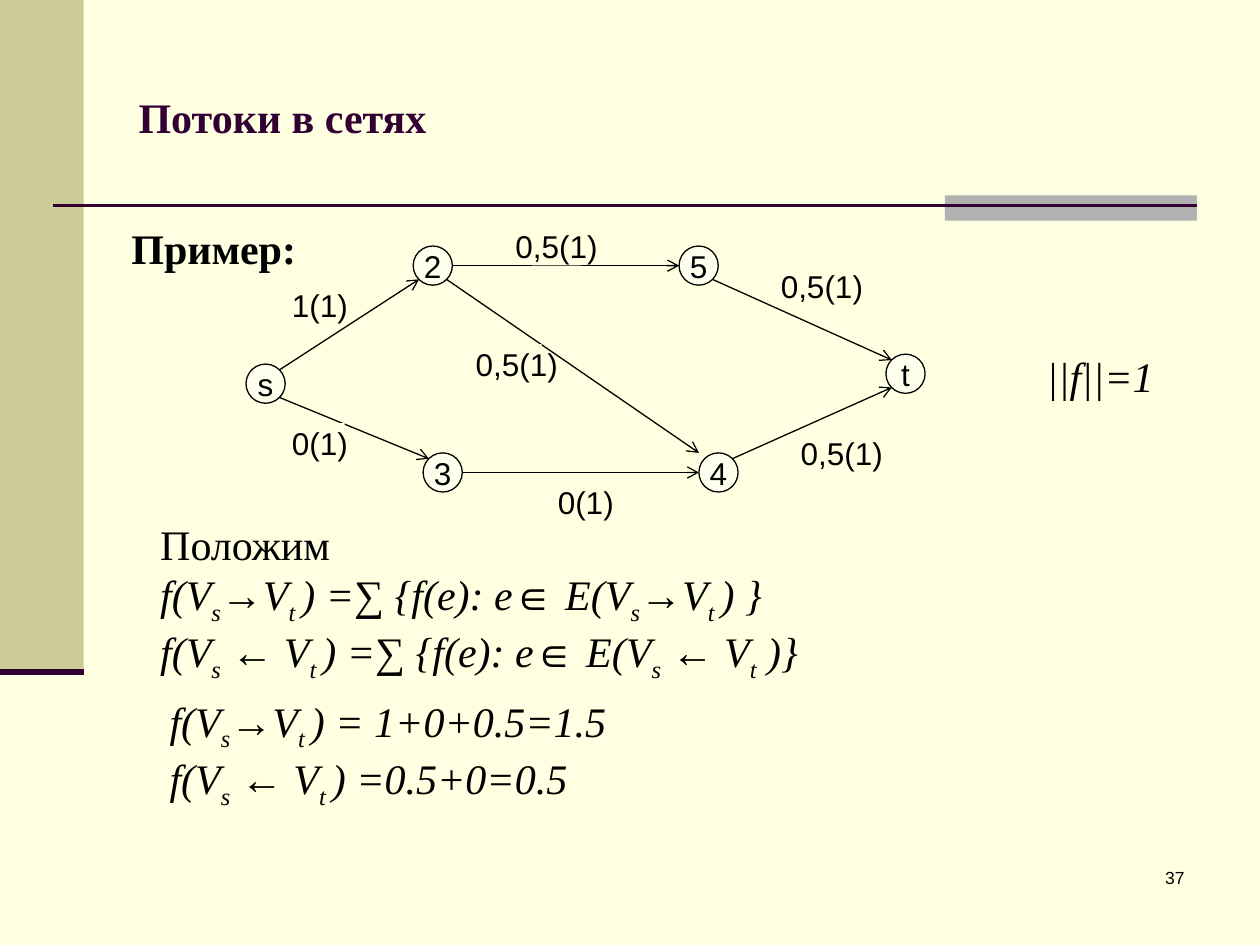
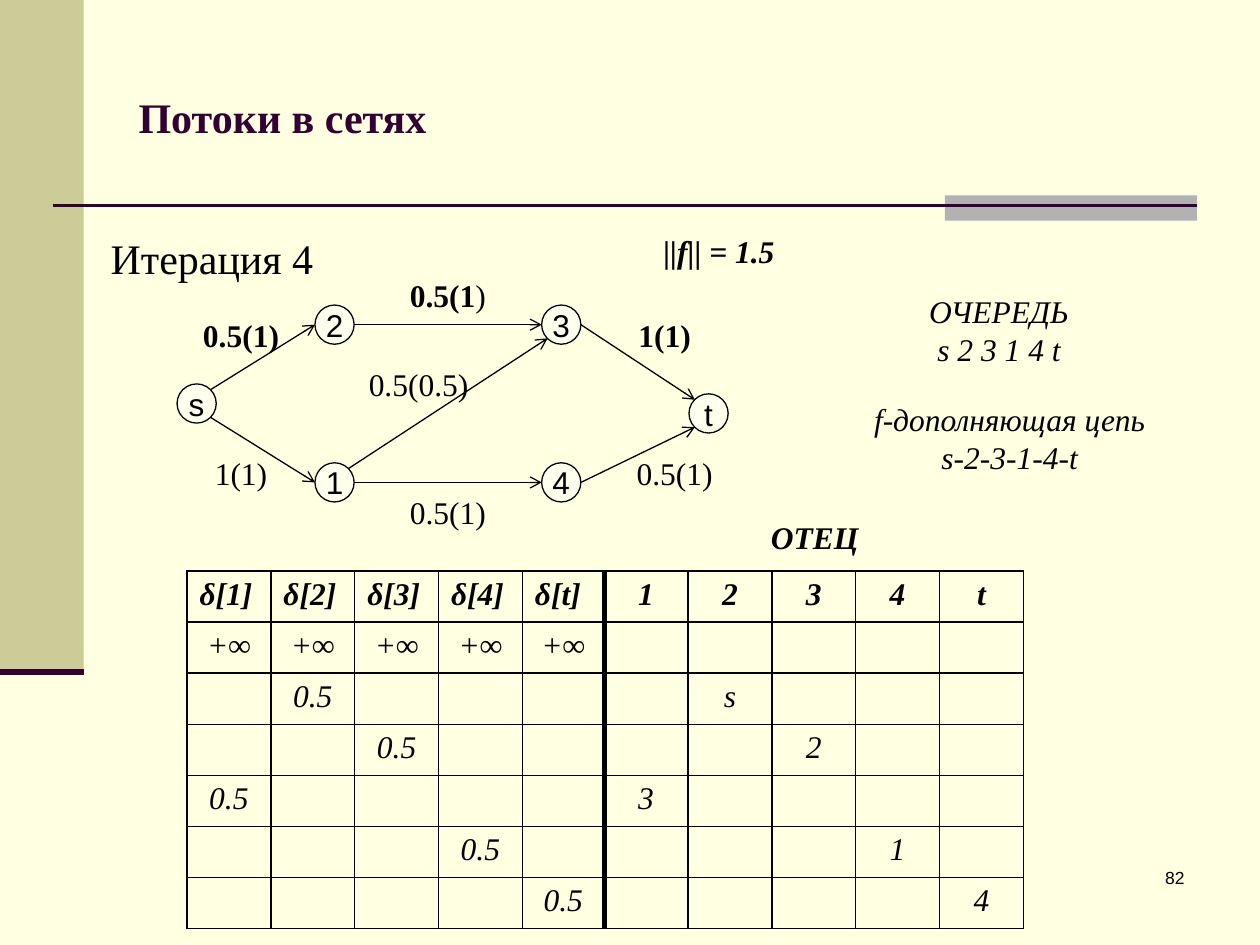
from lxml.etree import SubElement
from pptx import Presentation
from pptx.dml.color import RGBColor
from pptx.enum.shapes import MSO_CONNECTOR, MSO_SHAPE
from pptx.enum.text import MSO_ANCHOR, PP_ALIGN
from pptx.oxml.ns import qn
from pptx.util import Cm, Pt

CREAM = RGBColor(0xFF, 0xFF, 0xE1)
NODE_FILL = RGBColor(0xFF, 0xFF, 0xEE)
OLIVE = RGBColor(0xCC, 0xCC, 0x99)
GREY = RGBColor(0xB2, 0xB2, 0xB2)
PLUM = RGBColor(0x33, 0x00, 0x33)
BLACK = RGBColor(0x00, 0x00, 0x00)
SERIF, SANS = "Times New Roman", "Arial"

TITLE = "Потоки в сетях"
NODE_SIZE = 0.79
LABEL_SIZE = (1, 0.79)

# Points on a node where edges end, from its centre, in node diameters
SITES = {
    "left": (-0.5, 0), "right": (0.5, 0),
    "top left": (-0.35, -0.35), "top right": (0.35, -0.35),
    "bottom left": (-0.35, 0.35), "bottom right": (0.35, 0.35),
    "corner": (-0.5, -0.5),
}

# Nodes: name -> left, top. Edges: node, site, node, site.
# Labels: left, top, bold part, plain part.
# Texts: left, top, width, size, style, alignment, lines; ~x~ is a subscript.
EXAMPLE = {
    "number": "37",
    "nodes": {
        "s": (4.96, 7.34), "2": (8.33, 4.96), "5": (13.69, 4.96),
        "t": (17.86, 7.14), "3": (8.53, 9.13), "4": (14.09, 9.13),
    },
    "edges": [
        ("s", "top right", "2", "bottom left"),
        ("s", "bottom right", "3", "top left"),
        ("2", "right", "5", "left"),
        ("2", "bottom right", "4", "corner"),
        ("3", "right", "4", "left"),
        ("5", "bottom right", "t", "top left"),
        ("4", "top right", "t", "bottom left"),
    ],
    "label_font": SANS,
    "labels": [
        (5.95, 5.76, "", "1(1)"), (11.31, 9.72, "", "0(1)"),
        (5.95, 8.53, "", "0(1)"), (9.92, 6.94, "", "0,5(1)"),
        (10.72, 4.56, "", "0,5(1)"), (16.07, 5.36, "", "0,5(1)"),
        (16.47, 8.73, "", "0,5(1)"),
    ],
    "texts": [
        (2.38, 4.36, 3.86, 24, "bold", "center", ["Пример:"]),
        (20.83, 6.94, 2.7, 24, "italic", "center", ["||f||=1"]),
        (2.98, 10.32, 21.23, 24, "formulas", "left", [
            "Положим",
            "f(V~s~→V~t ~) =∑ {f(e): e∈ E(V~s~→V~t ~) }",
            "f(V~s~ ← V~t ~) =∑ {f(e): e∈ E(V~s~ ← V~t~ )}",
        ]),
        (3.17, 13.89, 21.43, 24, "italic", "left", [
            "f(V~s~→V~t ~) = 1+0+0.5=1.5",
            "f(V~s~ ← V~t ~) =0.5+0=0.5",
        ]),
    ],
}

ITERATION = {
    "number": "82",
    "nodes": {
        "s": (3.57, 7.74), "2": (6.35, 6.15), "t": (13.89, 7.94),
        "4": (10.92, 9.33), "3": (10.92, 6.15), "1": (6.35, 9.33),
    },
    "edges": [
        ("s", "top right", "2", "left"),
        ("2", "right", "3", "left"),
        ("s", "bottom right", "1", "left"),
        ("1", "right", "4", "left"),
        ("3", "right", "t", "top left"),
        ("4", "right", "t", "bottom left"),
        ("1", "top right", "3", "bottom left"),
    ],
    "label_font": SERIF,
    "labels": [
        (4.36, 6.35, "0.5(1)", ""), (4.36, 9.13, "", "1(1)"),
        (7.94, 7.34, "", "0.5(0.5)"), (8.53, 5.56, "0.5(1", ")"),
        (12.9, 6.35, "1(1)", ""), (13.1, 9.13, "", "0.5(1)"),
        (8.53, 9.92, "", "0.5(1)"),
    ],
    "texts": [
        (1.98, 4.56, 4.95, 24, "plain", "left", ["Итерация 4"]),
        (15.28, 10.32, 2.29, 18, "bold italic", "center", ["ОТЕЦ"]),
        (18.46, 5.76, 3.36, 18, "italic", "center", ["ОЧЕРЕДЬ", "s 2 3 1 4 t"]),
        (16.47, 7.94, 7.77, 18, "italic", "center",
         ["f-дополняющая цепь", "s-2-3-1-4-t"]),
        (13.1, 4.56, 2.79, 18, "bold italic", "center", ["||f|| = 1.5"]),
    ],
}

TABLE_HEADER = ["δ[1]", "δ[2]", "δ[3]", "δ[4]", "δ[t]", "1", "2", "3", "4", "t"]
DELTA_COLUMNS = 5
# One step a row: vertex reached, its delta, its father
STEPS = [("2", "0.5", "s"), ("3", "0.5", "2"), ("1", "0.5", "3"),
         ("4", "0.5", "1"), ("t", "0.5", "4")]


def set_font(font, size, name=SERIF, color=BLACK, bold=False, italic=False):
    font.size, font.name = Pt(size), name
    font.bold, font.italic = bold, italic
    font.color.rgb = color


def add_block(slide, preset, left, top, width, height, fill):
    shape = slide.shapes.add_shape(preset, Cm(left), Cm(top), Cm(width), Cm(height))
    shape.shadow.inherit = False
    shape.fill.solid()
    shape.fill.fore_color.rgb = fill
    shape.line.fill.background()
    return shape


def add_line(slide, start, end, color=BLACK, weight=0.75):
    line = slide.shapes.add_connector(
        MSO_CONNECTOR.STRAIGHT, *(Cm(value) for value in (*start, *end)))
    line.line.color.rgb = color
    line.line.width = Pt(weight)
    SubElement(line.element.spPr, qn("a:effectLst"))
    return line


def centre_text(shape):
    """Set unwrapped text in the middle of the shape and return its paragraph."""
    frame = shape.text_frame
    frame.word_wrap = False
    frame.vertical_anchor = MSO_ANCHOR.MIDDLE
    frame.paragraphs[0].alignment = PP_ALIGN.CENTER
    return frame.paragraphs[0]


def add_runs(paragraph, marked_text):
    """Add the text, lowering the parts between tildes."""
    for index, part in enumerate(marked_text.split("~")):
        if part:
            run = paragraph.add_run()
            run.text = part
            if index % 2:
                run.font._element.set("baseline", "-25000")


def add_text(slide, left, top, width, size, style, alignment, lines, font=SERIF):
    height = 0.25 + len(lines) * size * 1.2 / 28.35
    box = slide.shapes.add_textbox(Cm(left), Cm(top), Cm(width), Cm(height))
    frame = box.text_frame
    frame.word_wrap = alignment != "center"
    for index, line in enumerate(lines):
        paragraph = frame.add_paragraph() if index else frame.paragraphs[0]
        paragraph.alignment = getattr(PP_ALIGN, alignment.upper())
        add_runs(paragraph, line)
        italic = "italic" in style or (style == "formulas" and index > 0)
        set_font(paragraph.font, size, font, bold="bold" in style, italic=italic)


def add_node(slide, name, left, top):
    node = add_block(slide, MSO_SHAPE.FLOWCHART_CONNECTOR,
                     left, top, NODE_SIZE, NODE_SIZE, NODE_FILL)
    node.line.color.rgb = BLACK
    node.line.width = Pt(0.75)
    paragraph = centre_text(node)
    paragraph.text = name
    set_font(paragraph.font, 18, SANS)


def site_point(node_position, site):
    return [edge + NODE_SIZE * (0.5 + offset)
            for edge, offset in zip(node_position, SITES[site])]


def add_network(slide, content):
    nodes = content["nodes"]
    for name, position in nodes.items():
        add_node(slide, name, *position)
    for source, source_site, target, target_site in content["edges"]:
        edge = add_line(slide, site_point(nodes[source], source_site),
                        site_point(nodes[target], target_site))
        SubElement(edge.element.spPr.find(qn("a:ln")), qn("a:tailEnd"), type="arrow")
    for left, top, bold_part, plain_part in content["labels"]:
        label = add_block(slide, MSO_SHAPE.RECTANGLE, left, top, *LABEL_SIZE, CREAM)
        paragraph = centre_text(label)
        for text, bold in ((bold_part, True), (plain_part, False)):
            if text:
                run = paragraph.add_run()
                run.text = text
                set_font(run.font, 18, content["label_font"], bold=bold)


def set_borders(cell, **weights):
    """Draw the cell's sides L, R, T and B, 1 pt unless given."""
    properties = cell._tc.get_or_add_tcPr()
    for side in "LRTB":
        line = SubElement(properties, qn(f"a:ln{side}"),
                          w=str(Pt(weights.get(side, 1))))
        fill = SubElement(line, qn("a:solidFill"))
        SubElement(fill, qn("a:srgbClr"), val=str(BLACK))


def table_rows():
    rows = [TABLE_HEADER, ["+∞"] * DELTA_COLUMNS + [""] * DELTA_COLUMNS]
    for vertex, delta, father in STEPS:
        row = [""] * len(TABLE_HEADER)
        row[TABLE_HEADER.index(f"δ[{vertex}]")] = delta
        row[TABLE_HEADER.index(vertex)] = father
        rows.append(row)
    return rows


def add_steps_table(slide):
    rows = table_rows()
    table = slide.shapes.add_table(len(rows), len(TABLE_HEADER), Cm(3.77), Cm(11.51),
                                   Cm(16.86), Cm(7.21)).table
    table.first_row = table.horz_banding = False
    last_delta = DELTA_COLUMNS - 1
    for index, column in enumerate(table.columns):
        column.width = Cm(1.65 if index == last_delta else 1.69)
    for row_index, row in enumerate(rows):
        table.rows[row_index].height = Cm(1.03)
        for column_index, text in enumerate(row):
            cell = table.cell(row_index, column_index)
            set_borders(cell, R=3 if column_index == last_delta else 1,
                        L=3 if column_index == DELTA_COLUMNS else 1)
            cell.fill.solid()
            cell.fill.fore_color.rgb = CREAM
            paragraph = cell.text_frame.paragraphs[0]
            paragraph.text = text
            is_delta_name = text.startswith("δ")
            paragraph.alignment = PP_ALIGN.LEFT if is_delta_name else PP_ALIGN.CENTER
            set_font(paragraph.font, 18, bold=row_index == 0, italic=True)


def decorate_layout(layout, slide):
    """Draw the shared bands and rules on the slide, then move them to its layout."""
    title = layout.placeholders[0]
    title.left, title.top = Cm(2.54), Cm(0.76)
    title.width, title.height = Cm(21.59), Cm(3.18)
    parts = [
        add_block(slide, MSO_SHAPE.RECTANGLE, 0, 0, 1.69, 13.55, OLIVE),
        add_block(slide, MSO_SHAPE.RECTANGLE, 19.05, 3.94, 5.08, 0.51, GREY),
        add_line(slide, (1.06, 4.14), (24.13, 4.14), PLUM, 1.5),
        add_line(slide, (0, 13.55), (1.69, 13.55), PLUM, 3.5),
    ]
    for number, part in enumerate(parts, start=50):
        part.element.xpath(".//p:cNvPr")[0].set("id", str(number))
        layout.shapes.element.append(part.element)


def fill_slide(slide, content):
    title = slide.shapes.title
    title.text = TITLE
    title.text_frame.vertical_anchor = MSO_ANCHOR.MIDDLE
    paragraph = title.text_frame.paragraphs[0]
    paragraph.alignment = PP_ALIGN.LEFT
    set_font(paragraph.font, 24, color=PLUM, bold=True)
    add_text(slide, 18.85, 17.35, 5.28, 10, "plain", "right", [content["number"]], SANS)
    add_network(slide, content)
    for text in content["texts"]:
        add_text(slide, *text)


def main():
    presentation = Presentation()
    presentation.slide_width, presentation.slide_height = Cm(25.4), Cm(19.05)
    background = presentation.slide_master.background.fill
    background.solid()
    background.fore_color.rgb = CREAM
    layout = presentation.slide_layouts.get_by_name("Title Only")

    example = presentation.slides.add_slide(layout)
    decorate_layout(layout, example)
    fill_slide(example, EXAMPLE)

    iteration = presentation.slides.add_slide(layout)
    fill_slide(iteration, ITERATION)
    add_steps_table(iteration)
    presentation.save("out.pptx")


if __name__ == "__main__":
    main()
